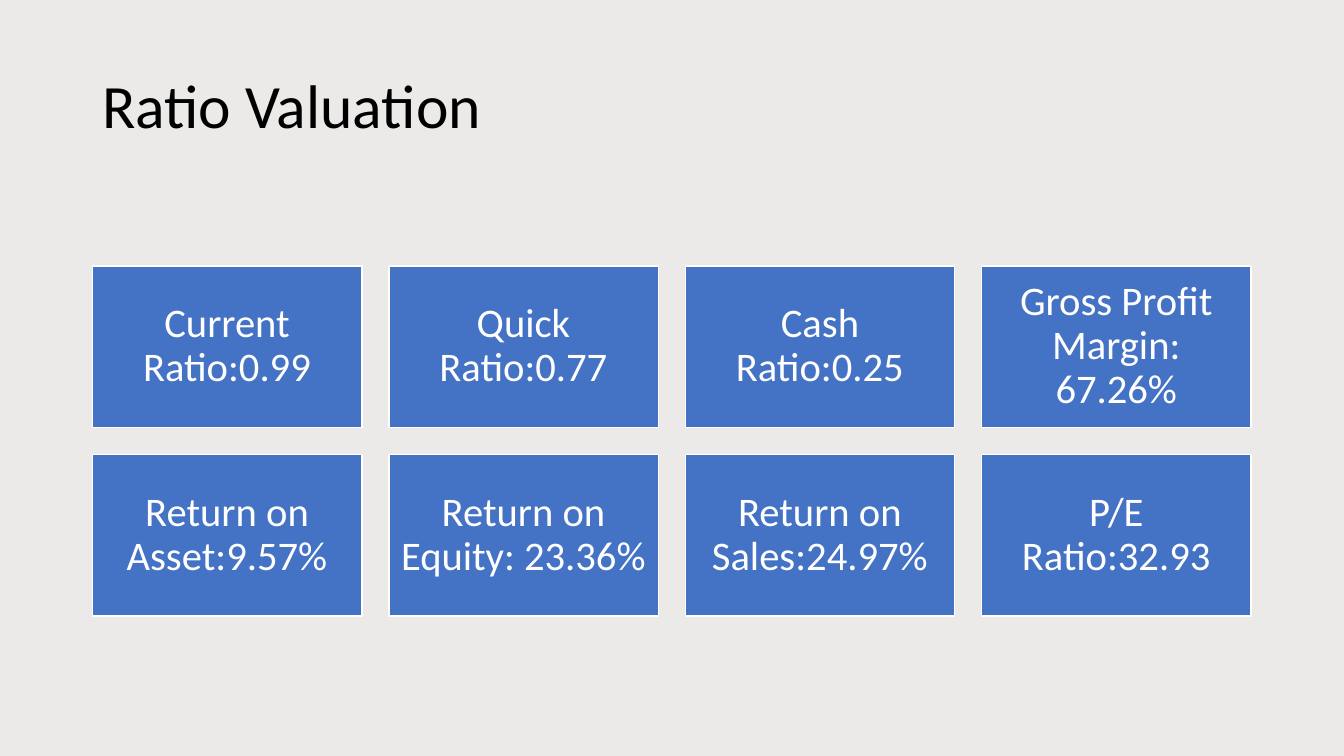
from lxml.etree import SubElement
from pptx import Presentation
from pptx.dml.color import RGBColor
from pptx.enum.shapes import MSO_SHAPE
from pptx.enum.text import MSO_ANCHOR, PP_ALIGN
from pptx.oxml.ns import qn
from pptx.util import Cm, Pt

TITLE = "Ratio Valuation"
RATIOS = [
    "Current Ratio:0.99",
    "Quick Ratio:0.77",
    "Cash Ratio:0.25",
    "Gross Profit Margin: 67.26%",
    "Return on Asset:9.57%",
    "Return on Equity: 23.36%",
    "Return on Sales:24.97%",
    "P/E Ratio:32.93",
]

FONT = "Calibri"
BLACK = RGBColor(0x00, 0x00, 0x00)
WHITE = RGBColor(0xFF, 0xFF, 0xFF)
BLUE = RGBColor(0x44, 0x72, 0xC4)
TAUPE = RGBColor(0x82, 0x76, 0x6A)
TINT_PERCENT = 15

PAGE_WIDTH, PAGE_HEIGHT = 33.87, 19.05
COLUMNS = 4
GRID_LEFT, GRID_TOP = 2.33, 6.7
CARD_WIDTH, CARD_HEIGHT, GAP = 6.79, 4.07, 0.68
CARD_INSET = 0.29


def add_rectangle(page, left, top, width, height, color):
    box = page.shapes.add_shape(
        MSO_SHAPE.RECTANGLE, Cm(left), Cm(top), Cm(width), Cm(height))
    box.shadow.inherit = False
    box.fill.solid()
    box.fill.fore_color.rgb = color
    return box


def write(box, text, size, color, align):
    frame = box.text_frame
    frame.word_wrap = True
    frame.vertical_anchor = MSO_ANCHOR.MIDDLE
    para = frame.paragraphs[0]
    para.text = text
    para.alignment = align
    para.line_spacing = 0.9
    para.font.name = FONT
    para.font.size = Pt(size)
    para.font.color.rgb = color


def add_backdrop(page):
    backdrop = add_rectangle(page, 0, 0, PAGE_WIDTH, PAGE_HEIGHT, TAUPE)
    backdrop.line.fill.background()
    color = backdrop.fill._xPr.find(qn("a:solidFill")).find(qn("a:srgbClr"))
    SubElement(color, qn("a:alpha")).set("val", str(TINT_PERCENT * 1000))


def add_title(page):
    box = page.shapes.add_textbox(Cm(2.33), Cm(0.9), Cm(29.21), Cm(3.68))
    write(box, TITLE, 44, BLACK, PP_ALIGN.LEFT)


def add_card(page, index, text):
    row, column = divmod(index, COLUMNS)
    card = add_rectangle(
        page,
        GRID_LEFT + column * (CARD_WIDTH + GAP),
        GRID_TOP + row * (CARD_HEIGHT + GAP),
        CARD_WIDTH, CARD_HEIGHT, BLUE)
    card.line.color.rgb = WHITE
    card.line.width = Pt(1)
    frame = card.text_frame
    frame.margin_left = frame.margin_right = Cm(CARD_INSET)
    frame.margin_top = frame.margin_bottom = Cm(CARD_INSET)
    write(card, text, 29, WHITE, PP_ALIGN.CENTER)


def main():
    deck = Presentation()
    deck.slide_width, deck.slide_height = Cm(PAGE_WIDTH), Cm(PAGE_HEIGHT)
    page = deck.slides.add_slide(deck.slide_layouts[6])
    add_backdrop(page)
    add_title(page)
    for index, text in enumerate(RATIOS):
        add_card(page, index, text)
    deck.save("out.pptx")


if __name__ == "__main__":
    main()
